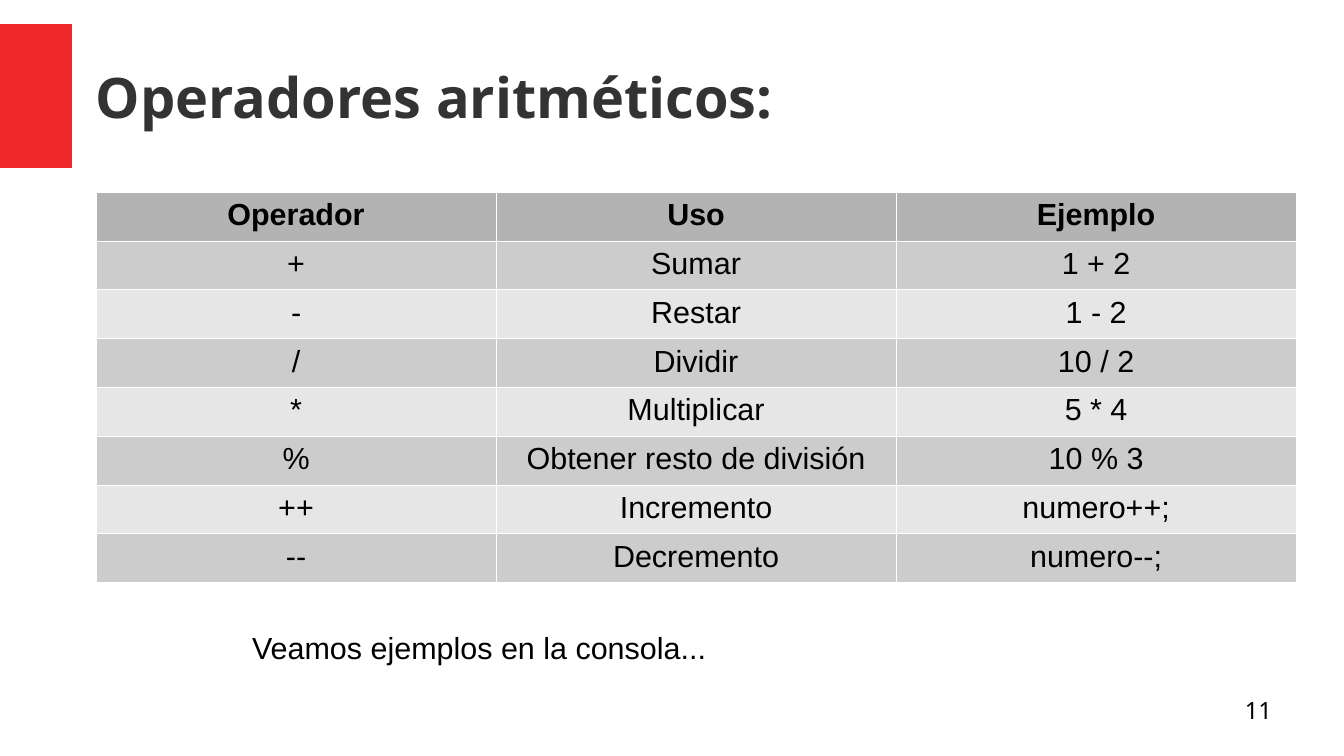
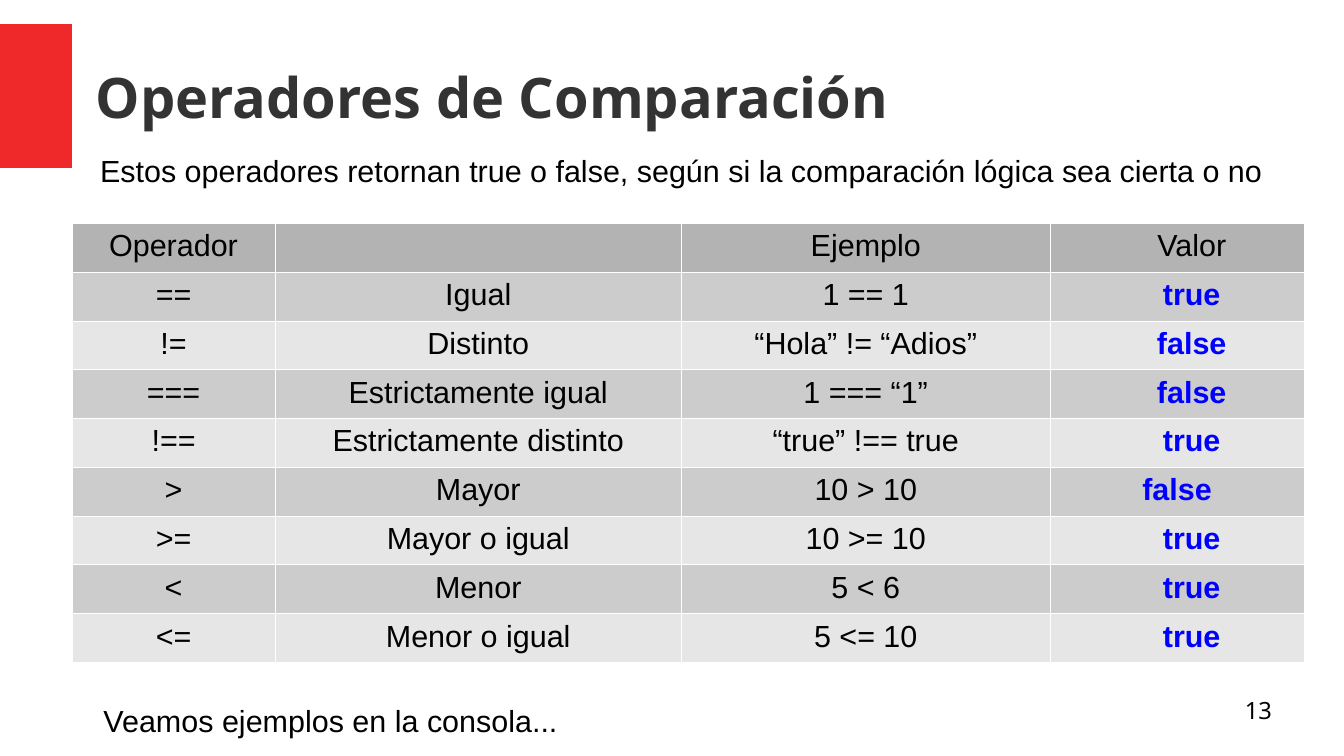
import lxml.etree
import pptx
import pptx.dml.color
import pptx.enum.shapes
import pptx.enum.text
import pptx.oxml.ns
import pptx.util

Pt = pptx.util.Pt
ALIGN = pptx.enum.text.PP_ALIGN
ANCHOR = pptx.enum.text.MSO_ANCHOR

HUES = {
    "band": "EF2929", "title": "333333", "text": "000000", "value": "0000FF",
    "head": "B3B3B3", "odd": "CCCCCC", "even": "E6E6E6", "rule": "FFFFFF",
}
SANS, TITLE = "Arial", "Noto Sans"
SIZE = (793.5, 446.5)
BAND = (0, 14.2, 42.5, 85)
HEAD = (56.5, 14.2, 708.5, 85)
PAGE = (566.6, 411, 184.4, 31)
ROW, NOTE, RULE, SHIFT = 28.8, 27.5, 0.06, 17.3
CLOSE = "Veamos ejemplos en la consola..."

# Notes are (text, left, top, width); "shift" lists the rows whose value is indented.
DECK = [
    {
        "title": "Operadores aritméticos:",
        "page": "11",
        "spot": (56.7, 113.4),
        "cols": (236.2, 236.2, 236.2),
        "bold": True,
        "value": None,
        "shift": (),
        "rows": [
            ("Operador", "Uso", "Ejemplo"),
            ("+", "Sumar", "1 + 2"),
            ("-", "Restar", "1 - 2"),
            ("/", "Dividir", "10 / 2"),
            ("*", "Multiplicar", "5 * 4"),
            ("%", "Obtener resto de división", "10 % 3"),
            ("++", "Incremento", "numero++;"),
            ("--", "Decremento", "numero--;"),
        ],
        "notes": [(CLOSE, 141.7, 368, 320)],
    },
    {
        "title": "Operadores de Comparación",
        "page": "13",
        "spot": (42.5, 131.8),
        "cols": (120, 239.8, 217.8, 149.8),
        "bold": False,
        "value": 3,
        "shift": (0, 1, 2, 3, 4, 6, 7, 8),
        "rows": [
            ("Operador", "", "Ejemplo", "Valor"),
            ("==", "Igual", "1 == 1", "true"),
            ("!=", "Distinto", "“Hola” != “Adios”", "false"),
            ("===", "Estrictamente igual", "1 === “1”", "false"),
            ("!==", "Estrictamente distinto", "“true” !== true", "true"),
            (">", "Mayor", "10 > 10", "false"),
            (">=", "Mayor o igual", "10 >= 10", "true"),
            ("<", "Menor", "5 < 6", "true"),
            ("<=", "Menor o igual", "5 <= 10", "true"),
        ],
        "notes": [
            ("Estos operadores retornan true o false, según si la comparación "
             "lógica sea cierta o no", 52, 86.4, 730),
            (CLOSE, 54, 411, 320),
        ],
    },
]


def hue(name):
    """Return the named colour."""
    return pptx.dml.color.RGBColor.from_string(HUES[name])


def place(shape, box):
    """Move and size a shape, in points."""
    shape.left, shape.top, shape.width, shape.height = map(Pt, box)


def write(frame, text, size=18, face=SANS, tint="text", bold=False, align=ALIGN.LEFT):
    """Set one paragraph of text and format it."""
    frame.text = text
    para = frame.paragraphs[0]
    para.alignment = align
    for font in [para.font] + [run.font for run in para.runs]:
        font.size, font.name, font.bold = Pt(size), face, bold
        font.color.rgb = hue(tint)
    return para


def bare(frame):
    """Remove the margins of a text frame."""
    frame.margin_left = frame.margin_right = 0
    frame.margin_top = frame.margin_bottom = 0


def set_up(deck):
    """Give the shared layout its title place."""
    layout = deck.slide_layouts[5]
    place(layout.placeholders[0], HEAD)
    return layout


def add_band(slide):
    """Draw the red band at the left edge."""
    kind = pptx.enum.shapes.MSO_SHAPE.RECTANGLE
    band = slide.shapes.add_shape(kind, *map(Pt, BAND))
    band.shadow.inherit = False
    band.fill.solid()
    band.fill.fore_color.rgb = hue("band")
    band.line.fill.background()


def add_title(slide, text):
    """Fill the title placeholder."""
    frame = slide.shapes.title.text_frame
    write(frame, text, 33, TITLE, "title", True)
    bare(frame)
    frame.vertical_anchor = ANCHOR.MIDDLE
    frame.word_wrap = True
    frame.auto_size = pptx.enum.text.MSO_AUTO_SIZE.NONE


def add_note(slide, text, left, top, width):
    """Add a line of text in a box with room to spare."""
    box = slide.shapes.add_textbox(*map(Pt, (left, top, width, NOTE)))
    write(box.text_frame, text)
    box.text_frame.word_wrap = True


def add_page(slide, text):
    """Add the page number at the lower right."""
    frame = slide.shapes.add_textbox(*map(Pt, PAGE)).text_frame
    frame.word_wrap = True
    bare(frame)
    write(frame, text, 14, TITLE, align=ALIGN.RIGHT)


def rule(cell):
    """Draw thin lines on all four sides of a cell."""
    props = cell._tc.get_or_add_tcPr()
    name = pptx.oxml.ns.qn
    for rank, side in enumerate("LRTB"):
        line = lxml.etree.Element(name("a:ln" + side), w=str(Pt(RULE)))
        fill = lxml.etree.SubElement(line, name("a:solidFill"))
        lxml.etree.SubElement(fill, name("a:srgbClr"), val=HUES["rule"])
        props.insert(rank, line)


def add_grid(slide, data):
    """Build the table of operators."""
    rows, cols = data["rows"], data["cols"]
    box = (*data["spot"], sum(cols), ROW * len(rows))
    grid = slide.shapes.add_table(len(rows), len(cols), *map(Pt, box)).table
    for col, width in zip(grid.columns, cols):
        col.width = Pt(width)
    for r, row in enumerate(rows):
        grid.rows[r].height = Pt(ROW)
        shade = "head" if r == 0 else "odd" if r % 2 else "even"
        for c, text in enumerate(row):
            cell = grid.cell(r, c)
            last = c == data["value"]
            mark = last and r > 0
            para = write(cell.text_frame, text, tint="value" if mark else "text",
                         bold=mark or (r == 0 and data["bold"]), align=ALIGN.CENTER)
            if last and r in data["shift"]:
                para._p.get_or_add_pPr().set("marL", str(Pt(SHIFT)))
            cell.fill.solid()
            cell.fill.fore_color.rgb = hue(shade)
            rule(cell)


def build():
    """Build and save the deck."""
    deck = pptx.Presentation()
    deck.slide_width, deck.slide_height = map(Pt, SIZE)
    layout = set_up(deck)
    for data in DECK:
        slide = deck.slides.add_slide(layout)
        add_band(slide)
        add_title(slide, data["title"])
        add_grid(slide, data)
        for note in data["notes"]:
            add_note(slide, *note)
        add_page(slide, data["page"])
    deck.save("out.pptx")


build()
